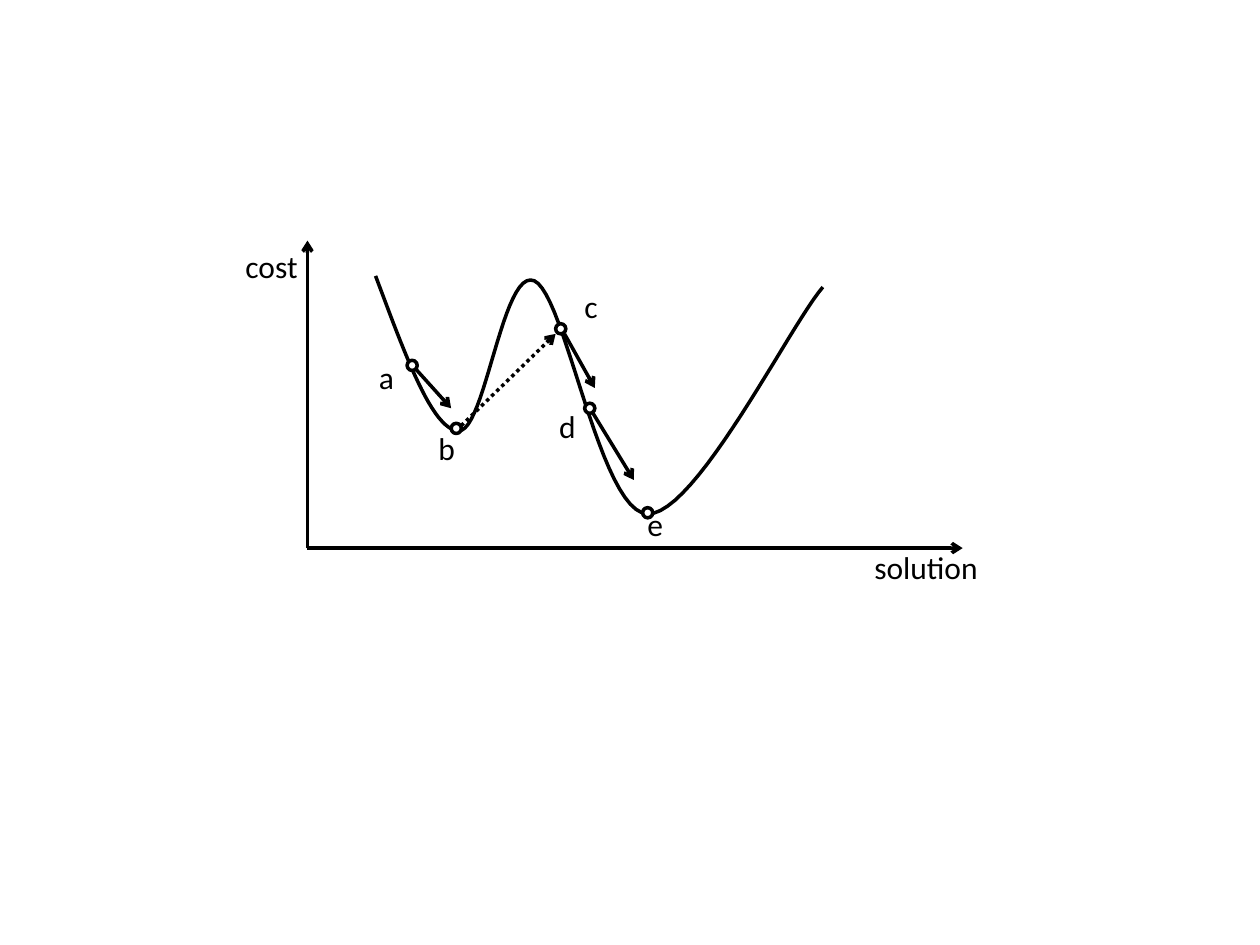
from lxml import etree
from pptx import Presentation
from pptx.dml.color import RGBColor
from pptx.enum.dml import MSO_LINE
from pptx.enum.shapes import MSO_CONNECTOR, MSO_SHAPE
from pptx.oxml.ns import qn
from pptx.util import Pt

BLACK = RGBColor(0x00, 0x00, 0x00)
WHITE = RGBColor(0xFF, 0xFF, 0xFF)
STRAIGHT = MSO_CONNECTOR.STRAIGHT
OVAL = MSO_SHAPE.OVAL
DOTTED = MSO_LINE.ROUND_DOT

LINE_WIDTH = 2
LABEL_HEIGHT = 28.8
MARKER_SIZE = 5.8
CURVE_STEPS = 24

AXIS_LABELS = [("solution", 316.8, 172.1, 77.8), ("cost", -42.5, 0, 45.4)]
STATE_LABELS = [
    ("a", 33.8, 63.4, 28.8),
    ("b", 67.7, 104.4, 28.8),
    ("c", 151.2, 23, 14.4),
    ("d", 136.8, 91.4, 28.8),
    ("e", 187.2, 147.6, 28.8),
]
STATES = [(59.8, 71.3), (85, 107.3), (144.7, 50.4), (161.3, 95.8), (194.4, 155.5)]
DESCENTS = [
    ((61.9, 73.4), (82.1, 95.8)),
    ((146.9, 53.3), (164.2, 84.2)),
    ((162.7, 97.9), (186.5, 136.8)),
]
JUMP = ((87.8, 105.8), (141.8, 53.3))
COST_CURVE = [
    (38.9, 20.2), (55.4, 64.1), (71.3, 108.7),
    (86.4, 108.7), (101.5, 109.4), (111.6, 15.1),
    (129.6, 23), (147.6, 31), (167, 155.5),
    (194.4, 156.2), (221.8, 157), (275.8, 48.2),
    (294.5, 26.6),
]


def style_line(line):
    """Give a line the common colour and width."""
    line.color.rgb = BLACK
    line.width = Pt(LINE_WIDTH)


def add_label(slide, text, left, top, width):
    """Add a one-line label."""
    label = slide.shapes.add_textbox(Pt(left), Pt(top), Pt(width), Pt(LABEL_HEIGHT))
    frame = label.text_frame
    frame.word_wrap = True
    frame.margin_right = 0
    paragraph = frame.paragraphs[0]
    paragraph.text = text
    paragraph.font.name = "Calibri"
    paragraph.font.size = Pt(18)
    paragraph.font.color.rgb = BLACK


def add_arrow(slide, start, end, dash=None):
    """Add a straight arrow between two points."""
    arrow = slide.shapes.add_connector(STRAIGHT, *map(Pt, start + end))
    style_line(arrow.line)
    if dash is not None:
        arrow.line.dash_style = dash
    etree.SubElement(arrow.line._get_or_add_ln(), qn("a:tailEnd"), type="arrow")
    etree.SubElement(arrow._element.spPr, qn("a:effectLst"))


def add_marker(slide, x, y):
    """Add a small ring centred on a point."""
    half = MARKER_SIZE / 2
    ring = slide.shapes.add_shape(
        OVAL, Pt(x - half), Pt(y - half), Pt(MARKER_SIZE), Pt(MARKER_SIZE))
    ring.shadow.inherit = False
    ring.fill.solid()
    ring.fill.fore_color.rgb = WHITE
    style_line(ring.line)


def bezier(t, p0, p1, p2, p3):
    """Return the point at t on a cubic Bezier segment."""
    u = 1 - t
    return tuple(
        u**3 * a + 3 * u * u * t * b + 3 * u * t * t * c + t**3 * d
        for a, b, c, d in zip(p0, p1, p2, p3))


def add_curve(slide, controls):
    """Draw joined cubic segments as one open outline."""
    points = [
        bezier(step / CURVE_STEPS, *controls[first:first + 4])
        for first in range(0, len(controls) - 1, 3)
        for step in range(1, CURVE_STEPS + 1)
    ]
    builder = slide.shapes.build_freeform(*map(Pt, controls[0]))
    builder.add_line_segments([(Pt(x), Pt(y)) for x, y in points], close=False)
    curve = builder.convert_to_shape()
    curve.shadow.inherit = False
    curve.fill.background()
    style_line(curve.line)


def add_search_plot(slide, left, top, width, height):
    """Draw the cost landscape with its axes, states and moves."""
    def place(point):
        return left + point[0], top + point[1]

    for text, x, y, label_width in AXIS_LABELS + STATE_LABELS:
        add_label(slide, text, *place((x, y)), label_width)
    origin = place((0, height))
    add_arrow(slide, origin, place((width, height)))
    add_arrow(slide, origin, place((0, 0)))
    add_curve(slide, [place(point) for point in COST_CURVE])
    for state in STATES:
        add_marker(slide, *place(state))
    for start, end in DESCENTS:
        add_arrow(slide, place(start), place(end))
    add_arrow(slide, *map(place, JUMP), dash=DOTTED)


def main():
    """Build and save the slide."""
    presentation = Presentation()
    presentation.slide_width = Pt(720)
    presentation.slide_height = Pt(540)
    slide = presentation.slides.add_slide(presentation.slide_layouts[6])
    add_search_plot(slide, 175.7, 137.5, 374.4, 175.7)
    presentation.save("out.pptx")


if __name__ == "__main__":
    main()
